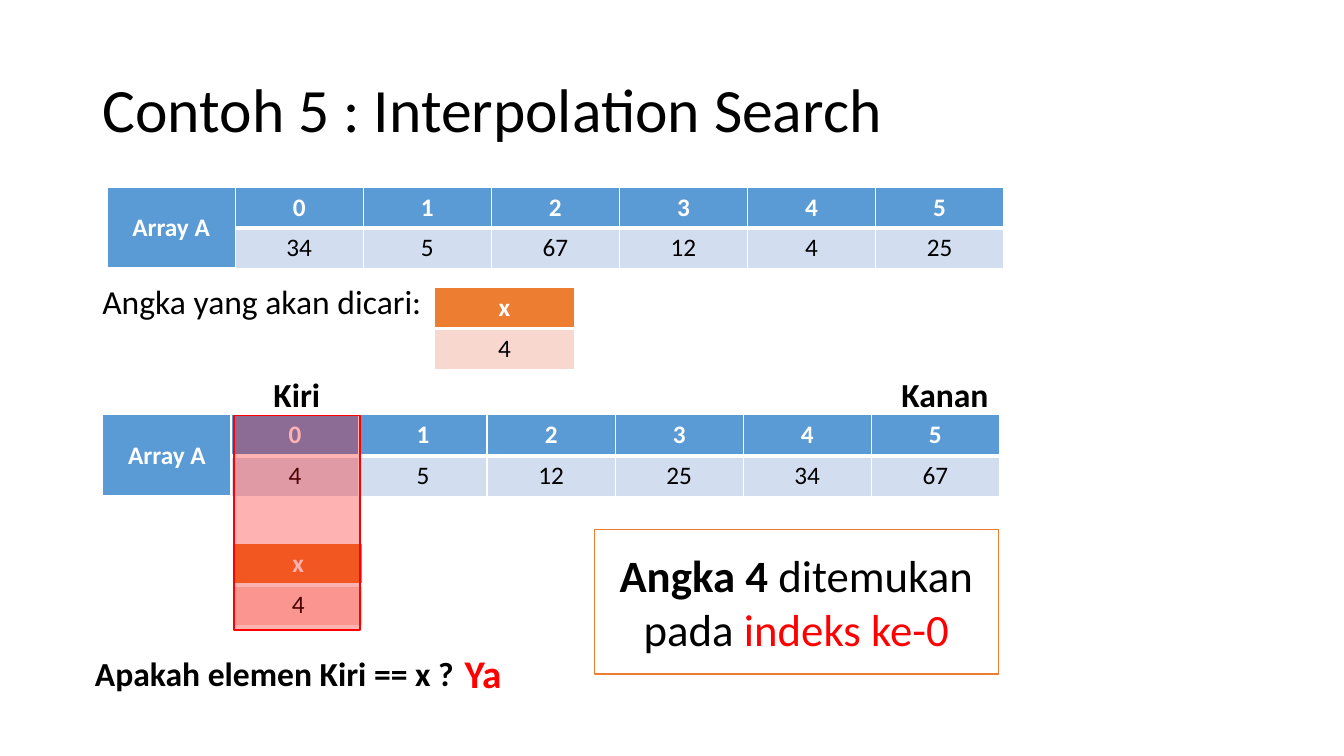
import pptx
import pptx.util
import pptx.dml.color
import pptx.enum.shapes
import pptx.enum.text
import pptx.oxml
import pptx.oxml.ns

PX = 9525
FONT = "Calibri"
BLACK, WHITE, RED = "000000", "FFFFFF", "FF0000"
BLUE, PALE = "5B9BD5", "D2DEEF"
ORANGE, PEACH = "ED7D31", "F8D7CE"
ALIGN = pptx.enum.text.PP_ALIGN
MIDDLE = pptx.enum.text.MSO_ANCHOR.MIDDLE
FIT = pptx.enum.text.MSO_AUTO_SIZE
ROW = 39
COL = 122


def px(*sizes):
    return [size * PX for size in sizes]


def color(code):
    return pptx.dml.color.RGBColor.from_string(code)


def write(frame, text, size=18, ink=BLACK, bold=False, align=ALIGN.LEFT):
    para = frame.paragraphs[0]
    para.alignment = align
    run = para.add_run()
    run.text = text
    run.font.name = FONT
    run.font.size = pptx.util.Pt(size)
    run.font.bold = bold
    run.font.color.rgb = color(ink)


def title(slide, text):
    shape = slide.shapes.title
    shape.left, shape.top, shape.width, shape.height = px(88, 38, 1104, 139)
    frame = shape.text_frame
    frame.vertical_anchor = MIDDLE
    frame.auto_size = FIT.NONE
    write(frame, text, size=44)
    frame.paragraphs[0].line_spacing = 0.9


def label(slide, area, text, **style):
    frame = slide.shapes.add_textbox(*px(*area)).text_frame
    frame.word_wrap = False
    frame.auto_size = FIT.SHAPE_TO_FIT_TEXT
    write(frame, text, **style)


def border(cell, top, bottom):
    props = cell._tc.get_or_add_tcPr()
    for side, width in zip("LRTB", (1, 1, top, bottom)):
        props.append(pptx.oxml.parse_xml(
            f'<a:ln{side} {pptx.oxml.ns.nsdecls("a")} w="{width * 12700}">'
            f'<a:solidFill><a:srgbClr val="{WHITE}"/></a:solidFill>'
            f'</a:ln{side}>'))


def grid(slide, left, top, wide, rows, head, body):
    count = len(rows[0])
    area = px(left, top, wide * count, ROW * len(rows))
    table = slide.shapes.add_table(len(rows), count, *area).table
    table.horz_banding = False
    for col in table.columns:
        col.width = wide * PX
    for r, row in enumerate(rows):
        for c, text in enumerate(row):
            cell = table.cell(r, c)
            first = r == 0 or text is None
            border(cell, 1 if r == 0 else 3, 3 if first else 1)
            cell.fill.solid()
            cell.fill.fore_color.rgb = color(head if first else body)
            cell.vertical_anchor = MIDDLE
            if text is not None:
                write(cell.text_frame, text, ink=WHITE if first else BLACK,
                      bold=first, align=ALIGN.CENTER)
    return table


def array(slide, left, top, values):
    heads = [str(i) for i in range(len(values))]
    rows = [["Array A"] + heads, [None] + [str(v) for v in values]]
    table = grid(slide, left, top, COL, rows, BLUE, PALE)
    table.cell(0, 0).merge(table.cell(1, 0))


def target(slide, left, top, wide):
    grid(slide, left, top, wide, [["x"], ["4"]], ORANGE, PEACH)


def box(slide, area, fill, line, alpha=100):
    kind = pptx.enum.shapes.MSO_SHAPE.RECTANGLE
    shape = slide.shapes.add_shape(kind, *px(*area))
    shape.shadow.inherit = False
    shape.fill.solid()
    shape.fill.fore_color.rgb = color(fill)
    shape.line.color.rgb = color(line)
    shape.line.width = pptx.util.Pt(1)
    if alpha < 100:
        tint = shape._element.spPr.find(".//" + pptx.oxml.ns.qn("a:srgbClr"))
        tint.append(pptx.oxml.parse_xml(
            f'<a:alpha {pptx.oxml.ns.nsdecls("a")} val="{alpha * 1000}"/>'))
    return shape


def result(slide):
    frame = box(slide, (566, 504, 385, 138), WHITE, ORANGE).text_frame
    frame.word_wrap = True
    frame.vertical_anchor = MIDDLE
    style = dict(size=32, align=ALIGN.CENTER)
    write(frame, "Angka 4 ", bold=True, **style)
    write(frame, "ditemukan pada ", **style)
    write(frame, "indeks ke-0", ink=RED, **style)


def main():
    deck = pptx.Presentation()
    deck.slide_width, deck.slide_height = px(1280, 720)
    slide = deck.slides.add_slide(deck.slide_layouts[5])
    title(slide, "Contoh 5 : Interpolation Search")

    array(slide, 102, 178, [34, 5, 67, 12, 4, 25])
    target(slide, 414, 274, 133)
    label(slide, (88, 263, 325, 48), "Angka yang akan dicari:", size=24)

    array(slide, 98, 395, [4, 5, 12, 25, 34, 67])
    target(slide, 223, 518, COL)
    box(slide, (223, 396, 120, 204), RED, RED, alpha=30)
    for area, text in (((251, 351, 64, 48), "Kiri"),
                       ((849, 351, 104, 48), "Kanan"),
                       ((81, 617, 365, 48), "Apakah elemen Kiri == x ?")):
        label(slide, area, text, size=24, bold=True)
    label(slide, (433, 614, 55, 55), "Ya", size=28, ink=RED, bold=True)
    result(slide)
    deck.save("out.pptx")


if __name__ == "__main__":
    main()
